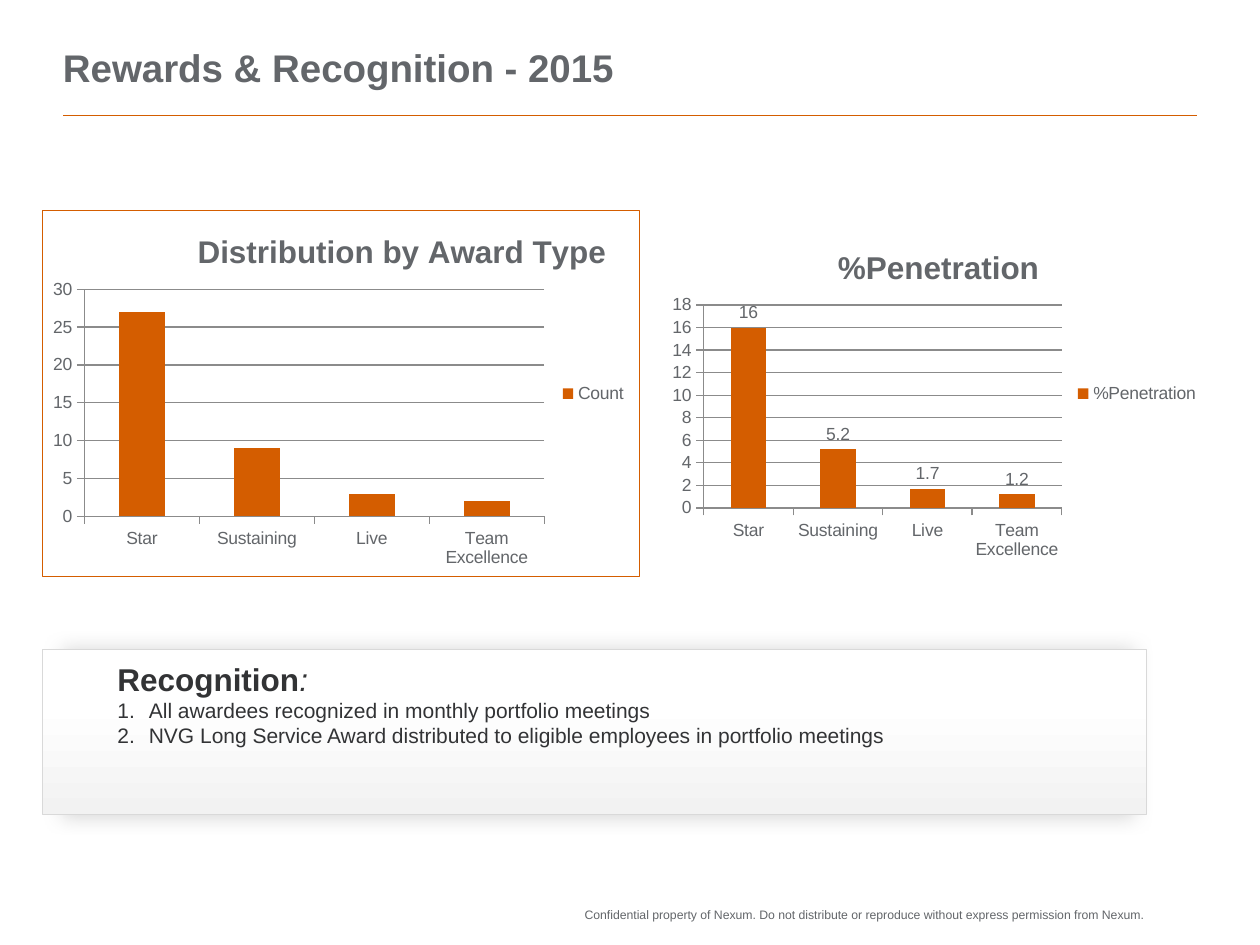
from dataclasses import dataclass

from lxml.etree import SubElement
from pptx import Presentation
from pptx.chart.data import CategoryChartData
from pptx.dml.color import RGBColor
from pptx.enum.chart import XL_CHART_TYPE as CT, XL_LABEL_POSITION as LP
from pptx.enum.chart import XL_LEGEND_POSITION as LEG, XL_TICK_MARK as TICK
from pptx.enum.shapes import MSO_CONNECTOR as CONN, MSO_SHAPE as SHAPE
from pptx.enum.text import MSO_ANCHOR as ANCHOR, PP_ALIGN as ALIGN
from pptx.oxml import parse_xml
from pptx.oxml.ns import nsdecls, qn
from pptx.util import Pt


@dataclass(frozen=True)
class Theme:
    """Colours, font and type sizes of the slide."""
    orange: str = "D45D00"
    gray: str = "63666A"
    dark: str = "323335"
    grid: str = "8B8B8B"
    border: str = "D9D9D9"
    shade: str = "F2F2F2"
    white: str = "FFFFFF"
    font: str = "Arial"
    title: int = 22
    heading: int = 18
    body: int = 12
    chart: int = 10
    footer: int = 7


T = Theme()
CATEGORIES = ("Star", "Sustaining", "Live", "Team Excellence")
AWARDS = dict(name="Count", title="Distribution by Award Type", values=(27, 9, 3, 2),
              top=30, step=5, title_at=(0.25, 0.04), plot=(0.07, 0.215, 0.77, 0.62))
PENETRATION = dict(name="%Penetration", title="%Penetration", values=(16, 5.2, 1.7, 1.2),
                   top=18, step=2, title_at=(0.31, 0.06), plot=(0.077, 0.244, 0.65, 0.586))
RECOGNITION = ("All awardees recognized in monthly portfolio meetings",
               "NVG Long Service Award distributed to eligible employees in portfolio meetings")


def rgb(color):
    """Turn a hex string into a colour."""
    return RGBColor.from_string(color)


def assign(obj, **values):
    """Set each named attribute on an object."""
    for name, value in values.items():
        setattr(obj, name, value)


def style(font, size, color, **extra):
    """Set the face, size, colour and any other font values."""
    assign(font, name=T.font, size=Pt(size), **extra)
    font.color.rgb = rgb(color)


def outline(line, color, width):
    """Give a line its colour and width."""
    line.color.rgb = rgb(color)
    line.width = Pt(width)


def add_run(p, text, size, color, **extra):
    """Append a styled run to a paragraph."""
    r = p.add_run()
    r.text = text
    style(r.font, size, color, **extra)


def add_text(slide, box, text, size, frame, para, **extra):
    """Place a one-line text box without left and top insets."""
    tf = slide.shapes.add_textbox(*map(Pt, box)).text_frame
    assign(tf, margin_left=0, margin_top=0, **frame)
    p = tf.paragraphs[0]
    assign(p, **para)
    add_run(p, text, size, T.gray, **extra)


def add_header(slide, box):
    """Place the title and the rule along the bottom of the box."""
    x, y, w, h = box
    add_text(slide, (x, y, 432, 33), "Rewards & Recognition - 2015", T.title,
             dict(margin_right=Pt(7.2), margin_bottom=Pt(3.6), word_wrap=True,
                  vertical_anchor=ANCHOR.BOTTOM), dict(line_spacing=0.9), bold=True)
    rule = slide.shapes.add_connector(CONN.STRAIGHT, Pt(x), Pt(y + h), Pt(x + w), Pt(y + h))
    outline(rule.line, T.orange, 1)
    SubElement(rule._element.spPr, qn("a:effectLst"))


def add_footer(slide, box):
    """Place the confidentiality notice."""
    text = ("Confidential property of Nexum. Do not distribute or reproduce "
            "without express permission from Nexum.")
    add_text(slide, box, text, T.footer,
             dict(margin_right=0, margin_bottom=0, word_wrap=False),
             dict(alignment=ALIGN.RIGHT))


def set_layout(parent, index, **values):
    """Fix the position of a chart part as fractions of the chart."""
    for old in parent.findall(qn("c:layout")):
        parent.remove(old)
    layout = parse_xml(f"<c:layout {nsdecls('c')}><c:manualLayout/></c:layout>")
    for tag, value in values.items():
        SubElement(layout[0], qn(f"c:{tag}")).set("val", str(value))
    parent.insert(index, layout)


def add_column_chart(slide, box, spec, border=False, labels=False):
    """Place a column chart with a title and a legend."""
    data = CategoryChartData()
    data.categories = CATEGORIES
    data.add_series(spec["name"], spec["values"])
    chart = slide.shapes.add_chart(CT.COLUMN_CLUSTERED, *map(Pt, box), data).chart
    style(chart.font, T.chart, T.gray)

    tf = chart.chart_title.text_frame
    add_run(tf.paragraphs[0], spec["title"], T.heading, T.gray, bold=True)
    x, y = spec["title_at"]
    set_layout(chart.chart_title._element, 1, xMode="edge", yMode="edge", x=x, y=y)
    x, y, w, h = spec["plot"]
    set_layout(chart._chartSpace.chart.plotArea, 0, layoutTarget="inner",
               xMode="edge", yMode="edge", x=x, y=y, w=w, h=h)

    chart.has_legend = True
    assign(chart.legend, position=LEG.RIGHT, include_in_layout=False)
    assign(chart.value_axis, minimum_scale=0, maximum_scale=spec["top"],
           major_unit=spec["step"], has_major_gridlines=True)
    outline(chart.value_axis.major_gridlines.format.line, T.grid, 0.75)
    for axis in (chart.category_axis, chart.value_axis):
        axis.major_tick_mark = TICK.OUTSIDE
        outline(axis.format.line, T.grid, 0.75)

    plot = chart.plots[0]
    assign(plot, gap_width=150, vary_by_categories=False, has_data_labels=labels)
    fill = plot.series[0].format.fill
    fill.solid()
    fill.fore_color.rgb = rgb(T.orange)
    if labels:
        assign(plot.data_labels, show_value=True, position=LP.OUTSIDE_END)
    if border:
        chart._chartSpace.chart.addnext(parse_xml(
            f'<c:spPr {nsdecls("c", "a")}><a:ln w="{Pt(0.75)}"><a:solidFill>'
            f'<a:srgbClr val="{T.orange}"/></a:solidFill></a:ln></c:spPr>'))


def add_shadow(sp):
    """Give a shape a soft shadow that shows above and below it."""
    sp.shadow.inherit = False
    sp._element.spPr.find(qn("a:effectLst")).append(parse_xml(
        f'<a:outerShdw {nsdecls("a")} blurRad="{Pt(11)}" dist="{Pt(2)}" dir="0" '
        'sx="97000" sy="101000" algn="ctr" rotWithShape="0"><a:srgbClr val="000000">'
        '<a:alpha val="17000"/></a:srgbClr></a:outerShdw>'))


def add_recognition(slide, box):
    """Place the shaded panel with its heading and numbered list."""
    sp = slide.shapes.add_shape(SHAPE.RECTANGLE, *map(Pt, box))
    sp.fill.gradient()
    sp.fill.gradient_angle = 90
    for stop, position, color in zip(sp.fill.gradient_stops, (0, 0.67), (T.shade, T.white)):
        stop.position = position
        stop.color.rgb = rgb(color)
    outline(sp.line, T.border, 0.25)
    add_shadow(sp)

    tf = sp.text_frame
    assign(tf, word_wrap=True, vertical_anchor=ANCHOR.TOP, margin_top=Pt(6))
    p = tf.paragraphs[0]
    assign(p, level=1, alignment=ALIGN.LEFT)
    p._p.get_or_add_pPr().set("marL", str(Pt(36)))
    add_run(p, "Recognition", T.heading, T.dark, bold=True)
    add_run(p, ":", T.heading, T.dark, italic=True)
    for text in RECOGNITION:
        p = tf.add_paragraph()
        assign(p, level=1, alignment=ALIGN.LEFT)
        pPr = p._p.get_or_add_pPr()
        pPr.set("marL", str(Pt(54)))
        pPr.set("indent", str(Pt(-18)))
        SubElement(pPr, qn("a:buFont")).set("typeface", "+mj-lt")
        SubElement(pPr, qn("a:buAutoNum")).set("type", "arabicPeriod")
        add_run(p, text, T.body, T.dark)


def main():
    """Build the slide and save it."""
    prs = Presentation()
    assign(prs, slide_width=Pt(720), slide_height=Pt(540))
    slide = prs.slides.add_slide(prs.slide_layouts[6])
    add_header(slide, (36, 22.5, 648, 43.5))
    add_footer(slide, (334, 518.4, 319.6, 8.6))
    add_recognition(slide, (24, 371, 631, 94.3))
    add_column_chart(slide, (24, 120, 342, 210), AWARDS, border=True)
    add_column_chart(slide, (378, 126, 314.6, 198), PENETRATION, labels=True)
    prs.save("out.pptx")


if __name__ == "__main__":
    main()
